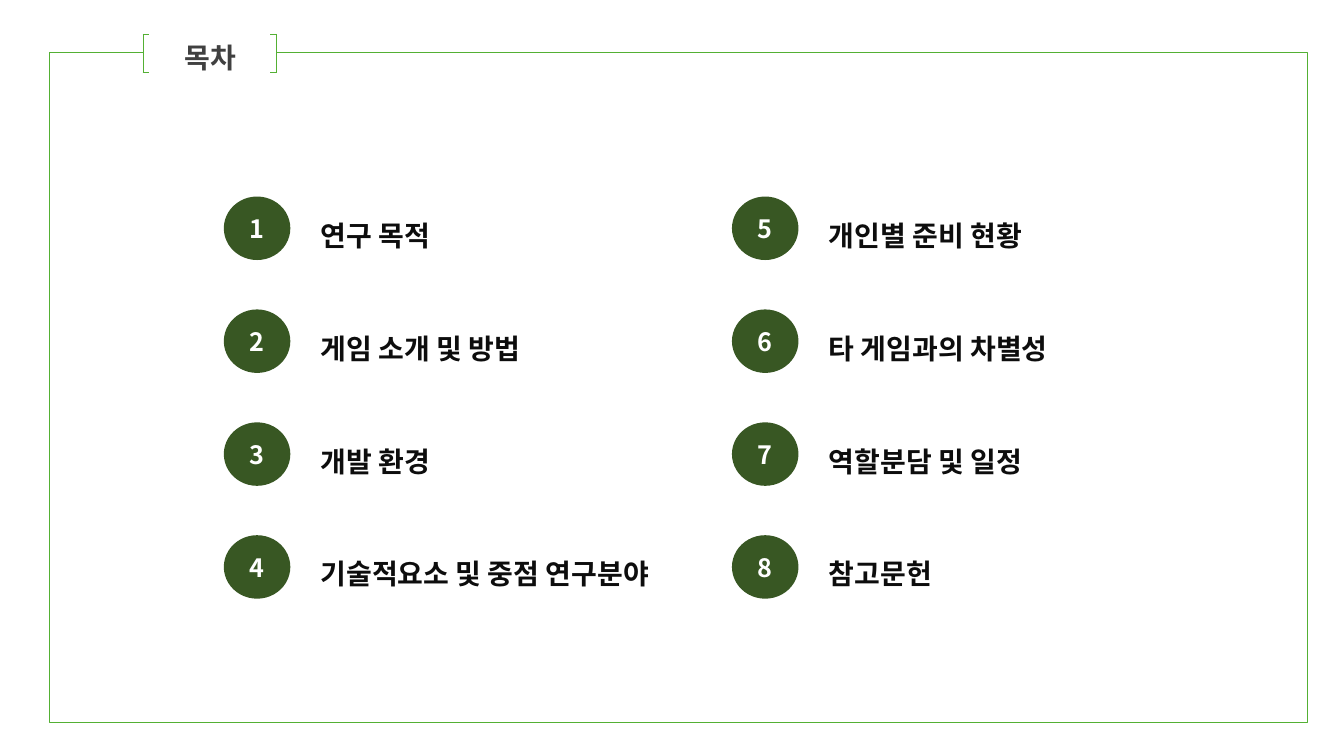
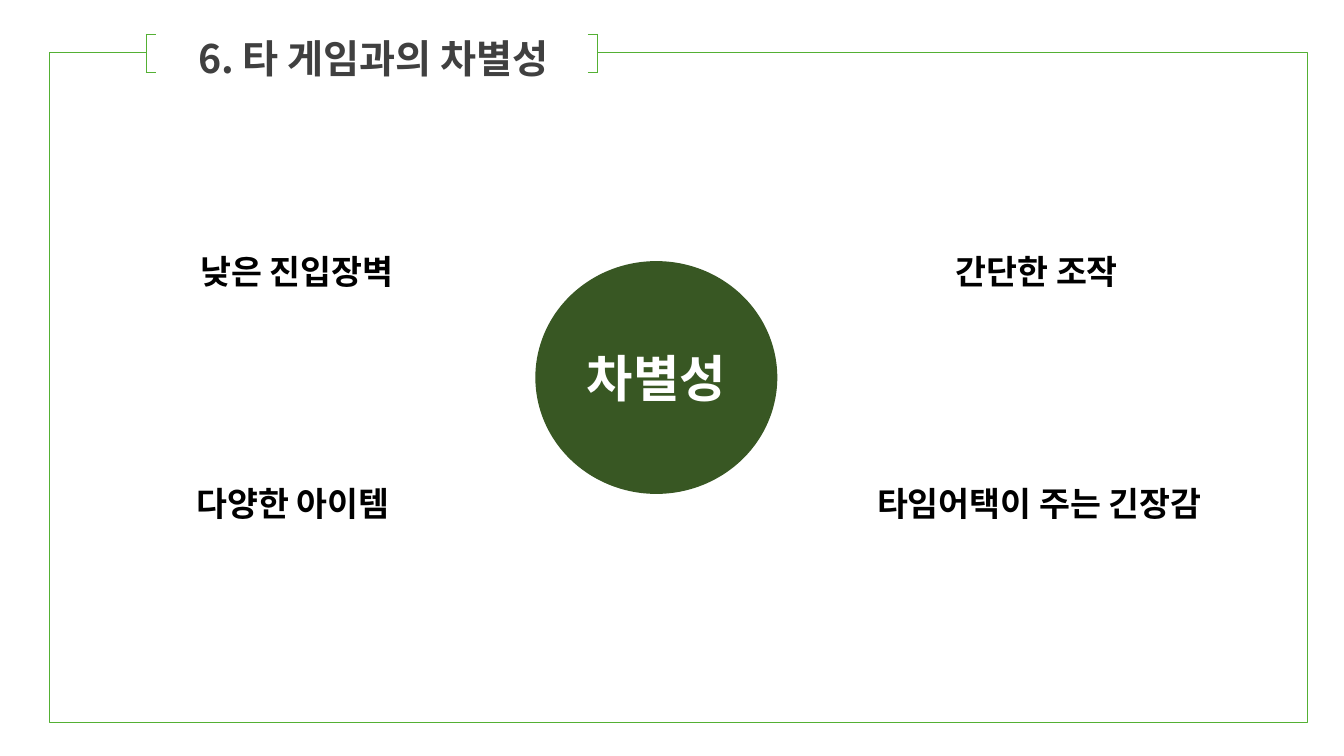
from lxml import etree
from pptx import Presentation
from pptx import util as u
from pptx.dml.color import RGBColor
from pptx.enum import shapes, text
from pptx.oxml.ns import qn

FONT = "Noto Sans CJK KR"
GREEN, DARK_GREEN, WHITE = "54B034", "385723", "FFFFFF"
TITLE_GRAY, ITEM_BLACK, BLACK = "404040", "0D0D0D", "000000"
LEFT, CENTER, JUSTIFY = text.PP_ALIGN.LEFT, text.PP_ALIGN.CENTER, text.PP_ALIGN.JUSTIFY


def paint(color_format, color):
    color_format.rgb = RGBColor.from_string(color)


def write(shape, words, size, color, align, spacing=None):
    para = shape.text_frame.paragraphs[0]
    para.alignment = align
    if spacing:
        shape.text_frame.auto_size = text.MSO_AUTO_SIZE.SHAPE_TO_FIT_TEXT
        para.line_spacing = spacing
    span = para.add_run()
    span.text = words
    for name, value in {"name": FONT, "size": u.Pt(size), "bold": True}.items():
        setattr(span.font, name, value)
    paint(span.font.color, color)
    etree.SubElement(span.font._element, qn("a:ea"), typeface=FONT)


topics = ["연구 목적", "게임 소개 및 방법", "개발 환경", "기술적요소 및 중점 연구분야",
          "개인별 준비 현황", "타 게임과의 차별성", "역할분담 및 일정", "참고문헌"]
contents = {
    "title": ("목차", 20, (1.7, 0.19, 0.77, 0.56)),
    "bracket": (1.42, [0.06, 1.2, 0.06]),
    "circles": [],
    "labels": [],
}
for index, topic in enumerate(topics):
    column, row = divmod(index, 4)
    left, top = 2.22 + 5.04 * column, 1.95 + 1.12 * row
    contents["circles"].append((str(index + 1), 18, (left, top, 0.66, 0.63)))
    contents["labels"].append((topic, 20, ITEM_BLACK, LEFT, (left + 0.86, top, 3.69, 0.56)))

strengths = {
    "title": ("6. 타 게임과의 차별성", 28, (1.78, 0.06, 3.85, 0.74)),
    "bracket": (1.45, [0.1, 4.28, 0.1]),
    "circles": [("차별성", 36, (5.31, 2.59, 2.4, 2.31))],
    "labels": [(words, 24, BLACK, JUSTIFY, (left, top, width, 0.65)) for words, left, top, width in [
        ("낮은 진입장벽", 1.89, 2.24, 2.58),
        ("간단한 조작", 9.38, 2.24, 1.9),
        ("다양한 아이템", 1.85, 4.54, 3.01),
        ("타임어택이 주는 긴장감", 8.6, 4.54, 3.49),
    ]],
}

deck = Presentation()
deck.slide_width, deck.slide_height = u.Inches(13.33), u.Inches(7.5)

for content in (contents, strengths):
    page = deck.slides.add_slide(deck.slide_layouts[6])

    frame = page.shapes.add_shape(shapes.MSO_SHAPE.RECTANGLE, *map(u.Inches, (0.49, 0.52, 12.48, 6.65)))
    frame.shadow.inherit = False
    frame.fill.background()
    paint(frame.line.color, GREEN)
    frame.line.width = u.Pt(0.75)

    left, widths = content["bracket"]
    bracket = page.shapes.add_table(1, 3, *map(u.Inches, (left, 0.34, sum(widths), 0.38))).table
    bracket.first_row = bracket.horz_banding = False
    for index, (width, sides) in enumerate(zip(widths, ("LTB", "", "RTB"))):
        bracket.columns[index].width = u.Inches(width)
        cell = bracket.cell(0, index)
        for margin in ("left", "right", "top", "bottom"):
            setattr(cell, f"margin_{margin}", 0)
        cell.fill.solid()
        paint(cell.fill.fore_color, WHITE)
        properties = cell._tc.get_or_add_tcPr()
        for order, side in enumerate("LRTB"):
            border = etree.Element(qn(f"a:ln{side}"), w=str(u.Pt(0.75)))
            if side in sides:
                fill = etree.SubElement(border, qn("a:solidFill"))
                etree.SubElement(fill, qn("a:srgbClr"), val=GREEN)
            else:
                etree.SubElement(border, qn("a:noFill"))
            properties.insert(order, border)

    words, size, place = content["title"]
    title = page.shapes.add_textbox(*map(u.Inches, place))
    title.text_frame.word_wrap = False
    write(title, words, size, TITLE_GRAY, CENTER, 1.5)

    for words, size, place in content["circles"]:
        circle = page.shapes.add_shape(shapes.MSO_SHAPE.OVAL, *map(u.Inches, place))
        circle.shadow.inherit = False
        circle.fill.solid()
        paint(circle.fill.fore_color, DARK_GREEN)
        circle.line.fill.background()
        circle.text_frame.vertical_anchor = text.MSO_ANCHOR.MIDDLE
        write(circle, words, size, WHITE, CENTER)

    for words, size, color, align, place in content["labels"]:
        label = page.shapes.add_textbox(*map(u.Inches, place))
        label.text_frame.word_wrap = True
        write(label, words, size, color, align, 1.5)

deck.save("out.pptx")
